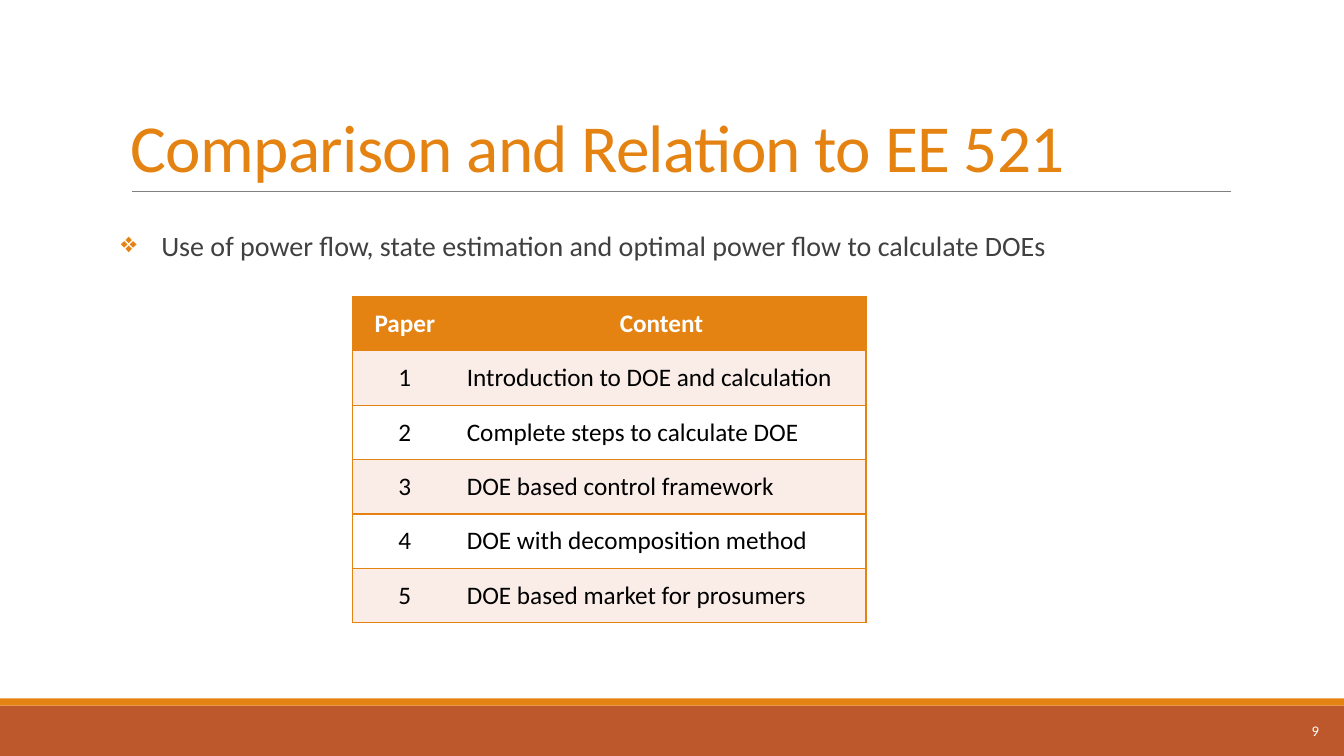
"""Build the slide comparing five papers and their relation to EE 521."""
from dataclasses import dataclass

from lxml import etree
from pptx import Presentation
from pptx.dml.color import RGBColor
from pptx.enum import shapes, text
from pptx.oxml import ns
from pptx.util import Inches, Pt


@dataclass(frozen=True)
class Theme:
    """Colours, font and type sizes of the slide."""
    font: str = "Calibri"
    orange: str = "E48312"
    rust: str = "BD582C"
    rule: str = "808080"
    body: str = "404040"
    black: str = "000000"
    white: str = "FFFFFF"
    band: str = "FAEDE7"
    title_size: float = 48
    body_size: float = 20
    table_size: float = 18
    number_size: float = 10.5


@dataclass(frozen=True)
class Area:
    """A rectangle in inches."""
    left: float
    top: float
    width: float
    height: float

    def lengths(self) -> tuple:
        """Return the four lengths that shape calls expect."""
        return tuple(Inches(side) for side in (self.left, self.top, self.width, self.height))


@dataclass(frozen=True)
class Bar:
    """A filled strip at the foot of the slide."""
    area: Area
    color: str


THEME = Theme()
ALIGN = text.PP_ALIGN
ANCHOR = text.MSO_ANCHOR
BARS = (
    Bar(Area(0, 7, 13.33, 0.5), THEME.rust),
    Bar(Area(0, 6.93, 13.33, 0.07), THEME.orange),
)
PAPERS = (
    "Introduction to DOE and calculation",
    "Complete steps to calculate DOE",
    "DOE based control framework",
    "DOE with decomposition method",
    "DOE based market for prosumers",
)
TABLE_AREA = Area(3.5, 2.94, 5.09, 3.24)
COLUMN_WIDTHS = (1.03, 4.06)


def add_node(parent, tag: str, **attributes: str):
    """Append a drawing element to a parent element."""
    return etree.SubElement(parent, ns.qn(tag), attributes)


def write(frame, words: str, *, size: float, color: str, bold: bool = False,
          align=ALIGN.LEFT, spacing: float = 1, before: float = 0, after: float = 0):
    """Write one formatted paragraph and return it."""
    para = frame.paragraphs[0]
    para.alignment = align
    para.line_spacing = spacing
    para.space_before, para.space_after = Pt(before), Pt(after)
    span = para.add_run()
    span.text = words
    span.font.name, span.font.size, span.font.bold = THEME.font, Pt(size), bold
    span.font.color.rgb = RGBColor.from_string(color)
    return para


def add_box(page, area: Area, anchor, side: float = 0.1):
    """Add a wrapping text box and return its text frame."""
    frame = page.shapes.add_textbox(*area.lengths()).text_frame
    frame.word_wrap = True
    frame.vertical_anchor = anchor
    frame.margin_left = frame.margin_right = Inches(side)
    return frame


def add_bar(page, bar: Bar) -> None:
    """Draw a strip without outline."""
    shape = page.shapes.add_shape(shapes.MSO_SHAPE.RECTANGLE, *bar.area.lengths())
    shape.shadow.inherit = False
    shape.fill.solid()
    shape.fill.fore_color.rgb = RGBColor.from_string(bar.color)
    shape.line.fill.background()


def add_rule(page) -> None:
    """Draw the thin line below the title."""
    rule = page.shapes.add_connector(
        shapes.MSO_CONNECTOR.STRAIGHT, Inches(1.31), Inches(1.9), Inches(12.21), Inches(1.9))
    rule.line.color.rgb = RGBColor.from_string(THEME.rule)
    rule.line.width = Pt(0.5)
    add_node(rule._element.spPr, "a:effectLst")


def add_bullet(para, mark: str, color: str, indent: float) -> None:
    """Give a paragraph a coloured bullet with a hanging indent."""
    properties = para._p.get_or_add_pPr()
    properties.set("marL", str(Inches(indent)))
    properties.set("indent", str(-Inches(indent)))
    add_node(add_node(properties, "a:buClr"), "a:srgbClr", val=color)
    add_node(properties, "a:buChar", char=mark)


def set_borders(cell, visible: str) -> None:
    """Draw the named sides of a cell and clear the others."""
    properties = cell._tc.get_or_add_tcPr()
    for side in "LRTB":
        line = add_node(properties, f"a:ln{side}", w=str(Pt(1)))
        if side in visible:
            add_node(add_node(line, "a:solidFill"), "a:srgbClr", val=THEME.orange)
        else:
            add_node(line, "a:noFill")


def add_papers(page) -> None:
    """Add the table of papers with banded rows."""
    rows = [("Paper", "Content")]
    rows += [(str(number), content) for number, content in enumerate(PAPERS, 1)]
    table = page.shapes.add_table(len(rows), len(COLUMN_WIDTHS), *TABLE_AREA.lengths()).table
    for column, width in zip(table.columns, COLUMN_WIDTHS):
        column.width = Inches(width)
    for row_index, row in enumerate(rows):
        header = row_index == 0
        fill = THEME.orange if header else THEME.band if row_index % 2 else THEME.white
        for column_index, words in enumerate(row):
            cell = table.cell(row_index, column_index)
            cell.vertical_anchor = ANCHOR.MIDDLE
            set_borders(cell, "RTB" if column_index else "LTB")
            cell.fill.solid()
            cell.fill.fore_color.rgb = RGBColor.from_string(fill)
            write(cell.text_frame, words, size=THEME.table_size, bold=header,
                  color=THEME.white if header else THEME.black,
                  align=ALIGN.CENTER if header or column_index == 0 else ALIGN.LEFT)


def main() -> None:
    """Build and save the slide."""
    deck = Presentation()
    deck.slide_width, deck.slide_height = Inches(13.33), Inches(7.5)
    page = deck.slides.add_slide(deck.slide_layouts[6])
    for bar in BARS:
        add_bar(page, bar)
    add_rule(page)

    title = write(add_box(page, Area(1.2, 0.31, 11, 1.59), ANCHOR.BOTTOM),
                  "Comparison and Relation to EE 521",
                  size=THEME.title_size, color=THEME.orange, spacing=0.85)
    title.runs[0].font._element.set("spc", "-50")

    point = write(add_box(page, Area(1.2, 2.26, 11, 4.16), ANCHOR.TOP, side=0),
                  "Use of power flow, state estimation and optimal power flow to calculate DOEs",
                  size=THEME.body_size, color=THEME.body, spacing=0.9, before=12, after=2)
    add_bullet(point, "❖", THEME.orange, 0.4)

    write(add_box(page, Area(11.75, 7.05, 1.43, 0.4), ANCHOR.MIDDLE), "9",
          size=THEME.number_size, color=THEME.white, align=ALIGN.RIGHT)
    add_papers(page)
    deck.save("out.pptx")


if __name__ == "__main__":
    main()
